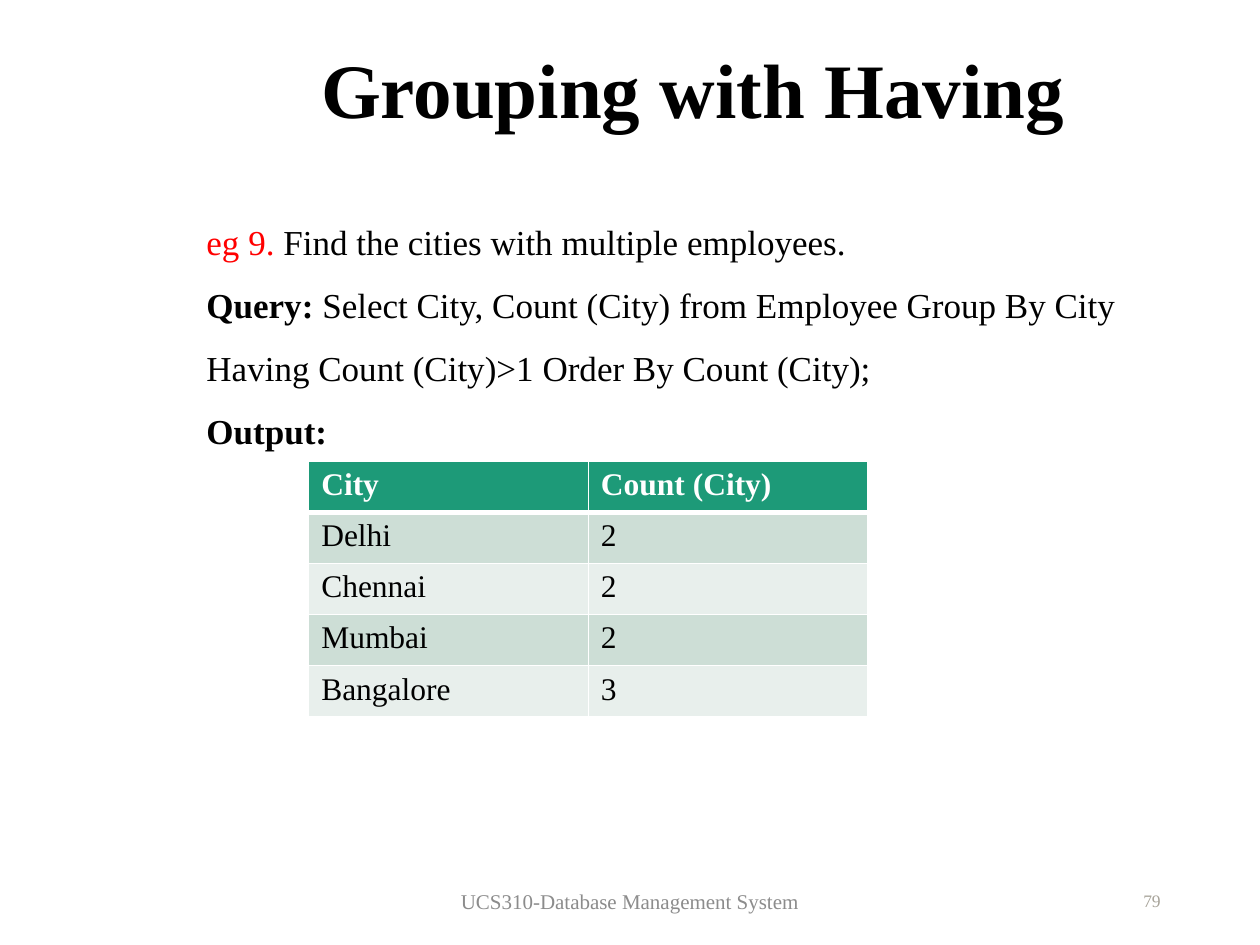
from lxml.etree import SubElement
from pptx import Presentation
from pptx.dml.color import RGBColor
from pptx.enum.text import MSO_ANCHOR, PP_ALIGN
from pptx.oxml.ns import qn
from pptx.util import Inches, Pt

FONT = "Times New Roman"
BLACK = RGBColor(0x00, 0x00, 0x00)
WHITE = RGBColor(0xFF, 0xFF, 0xFF)
RED = RGBColor(0xFF, 0x00, 0x00)
GREEN = RGBColor(0x1D, 0x9A, 0x78)
BAND_DARK = RGBColor(0xCD, 0xDE, 0xD6)
BAND_LIGHT = RGBColor(0xE8, 0xEF, 0xEC)
FOOTER_GREY = RGBColor(0x8C, 0x8C, 0x8C)
NUMBER_GREY = RGBColor(0xA7, 0xA3, 0x99)

# Each query line is a list of (text, colour, bold)
QUERY_LINES = [
    [("eg 9. ", RED, False),
     ("Find the cities with multiple employees.", BLACK, False)],
    [("Query: ", BLACK, True),
     ("Select City, Count (City) from Employee Group By City "
      "Having Count (City)>1 Order By Count (City);", BLACK, False)],
    [("Output:", BLACK, True)],
]
CITY_ROWS = [
    ("City", "Count (City)"),
    ("Delhi", "2"),
    ("Chennai", "2"),
    ("Mumbai", "2"),
    ("Bangalore", "3"),
]


def add_run(paragraph, text, size, color, bold=False):
    run = paragraph.add_run()
    run.text = text
    for key, value in {"name": FONT, "size": Pt(size), "bold": bold}.items():
        setattr(run.font, key, value)
    run.font.color.rgb = color


def add_text_frame(slide, box, anchor):
    frame = slide.shapes.add_textbox(*map(Inches, box)).text_frame
    for key, value in {"word_wrap": True, "vertical_anchor": anchor}.items():
        setattr(frame, key, value)
    return frame


def add_line(slide, box, text, size, color, align, bold=False, spacing=1.0):
    """One line of text, centred vertically in its box."""
    paragraph = add_text_frame(slide, box, MSO_ANCHOR.MIDDLE).paragraphs[0]
    for key, value in {"alignment": align, "line_spacing": spacing}.items():
        setattr(paragraph, key, value)
    add_run(paragraph, text, size, color, bold)


def add_query(slide, box):
    frame = add_text_frame(slide, box, MSO_ANCHOR.TOP)
    for index, parts in enumerate(QUERY_LINES):
        paragraph = frame.add_paragraph() if index else frame.paragraphs[0]
        if index:
            paragraph.line_spacing = Pt(36)
        for text, color, bold in parts:
            add_run(paragraph, text, 20, color, bold)


def set_borders(cell, widths):
    """Put white borders before the fill, as the schema orders them."""
    properties = cell._tc.get_or_add_tcPr()
    for position, (side, width) in enumerate(widths.items()):
        line = SubElement(properties, qn(f"a:{side}"), w=str(Pt(width)))
        fill = SubElement(line, qn("a:solidFill"))
        SubElement(fill, qn("a:srgbClr"), val=str(WHITE))
        properties.insert(position, line)


def add_city_table(slide, box):
    table = slide.shapes.add_table(
        len(CITY_ROWS), len(CITY_ROWS[0]), *map(Inches, box)).table
    for row in table.rows:
        row.height = Inches(box[3] / len(CITY_ROWS))
    for r, values in enumerate(CITY_ROWS):
        header = r == 0
        band = GREEN if header else (BAND_LIGHT, BAND_DARK)[r % 2]
        for c, value in enumerate(values):
            cell = table.cell(r, c)
            cell.fill.solid()
            cell.fill.fore_color.rgb = band
            set_borders(cell, {"lnL": 1, "lnR": 1,
                               "lnT": 3 if r == 1 else 1,
                               "lnB": 3 if header else 1})
            add_run(cell.text_frame.paragraphs[0], value, 18,
                    WHITE if header else BLACK, header)


def add_footer(slide, top, height):
    add_line(slide, (3.31, top, 3.38, height),
             "UCS310-Database Management System", 12, FOOTER_GREY,
             PP_ALIGN.CENTER)
    add_line(slide, (7.06, top, 2.25, height), "79", 10, NUMBER_GREY,
             PP_ALIGN.RIGHT)


def main():
    presentation = Presentation()
    presentation.slide_width = Inches(10)
    presentation.slide_height = Inches(7.5)
    slide = presentation.slides.add_slide(presentation.slide_layouts[6])

    add_line(slide, (1.25, 0.33, 8.5, 0.83), "Grouping with Having", 44,
             BLACK, PP_ALIGN.CENTER, bold=True, spacing=0.9)
    add_query(slide, (1.54, 1.7, 8.21, 2.3))
    add_city_table(slide, (2.45, 3.66, 4.44, 2.03))
    add_footer(slide, 6.95, 0.4)
    presentation.save("out.pptx")


if __name__ == "__main__":
    main()
